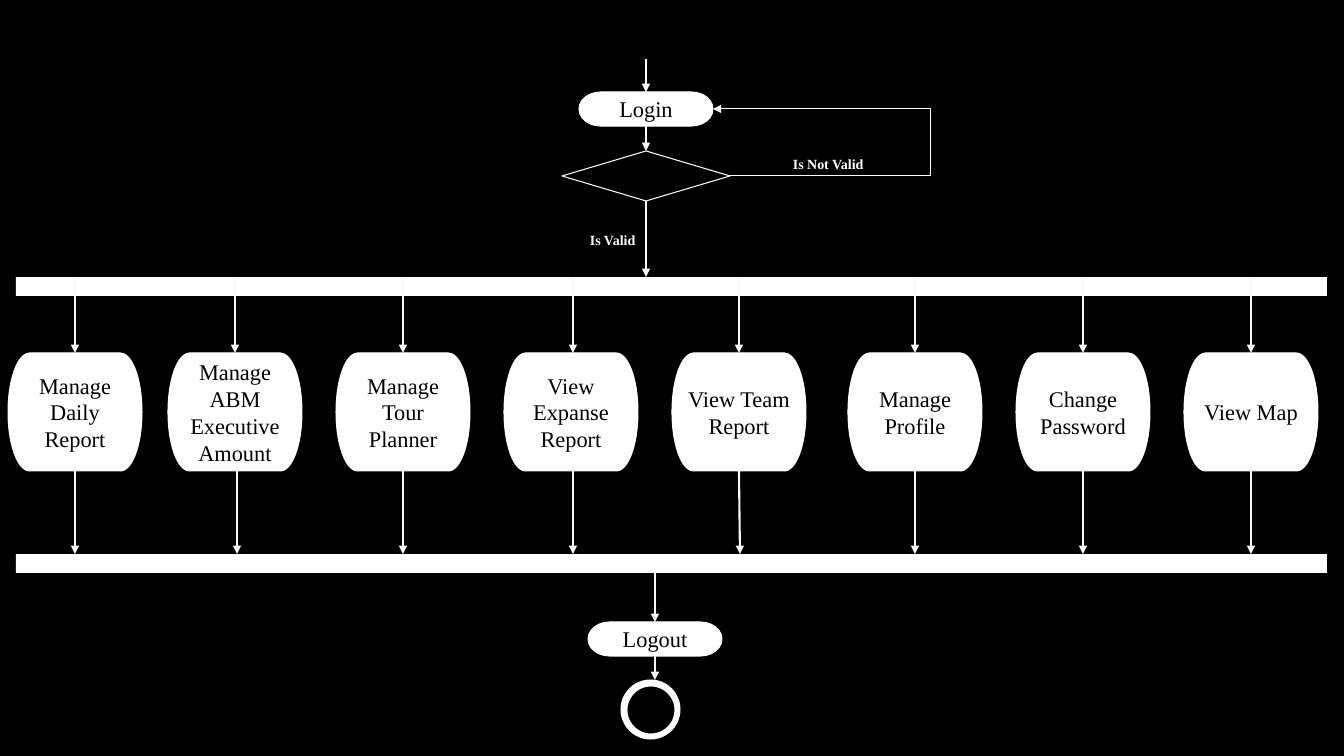
"""Builds an activity diagram slide running from login to logout."""
from dataclasses import dataclass

from lxml.etree import SubElement
from pptx import Presentation
from pptx.dml.color import RGBColor as RGB
from pptx.enum.shapes import MSO_CONNECTOR as LINK, MSO_SHAPE as SHAPE
from pptx.enum.text import MSO_ANCHOR, MSO_AUTO_SIZE, PP_ALIGN
from pptx.oxml.ns import qn
from pptx.util import Pt


@dataclass(frozen=True)
class Theme:
    font: str = "Times New Roman"
    dark: RGB = RGB(0x00, 0x00, 0x00)
    light: RGB = RGB(0xFF, 0xFF, 0xFF)
    flow: RGB = RGB(0xF8, 0xF8, 0xF8)
    node_size: int = 16
    label_size: int = 10
    thin: float = 0.75
    thick: float = 1.5


def px(n):
    return round(n * 914400 / 100.8)


class Diagram:
    """Draws diagram elements on one slide in one style, with lengths in px."""

    def __init__(self, slide, theme):
        self.slide, self.theme = slide, theme
        self.sides = {}
        fill = slide.background.fill
        fill.solid()
        fill.fore_color.rgb = theme.dark

    def shape(self, kind, x, y, w, h, fill=None, line=None):
        sp = self.slide.shapes.add_shape(kind, px(x), px(y), px(w), px(h))
        sp.shadow.inherit = False
        if fill is None:
            sp.fill.background()
        else:
            sp.fill.solid()
            sp.fill.fore_color.rgb = fill
        if line is None:
            sp.line.fill.background()
        else:
            sp.line.color.rgb = line
            sp.line.width = Pt(self.theme.thin)
        middles = [(x + w / 2, y), (x, y + h / 2), (x + w / 2, y + h), (x + w, y + h / 2)]
        for site, middle in enumerate(middles):
            self.sides[middle] = sp, site
        return sp

    def set_text(self, tf, text, size, color, bold=False, align=None):
        tf.word_wrap = True
        tf.text = text
        for p in tf.paragraphs:
            p.alignment = align
            p.font.name, p.font.size, p.font.bold = self.theme.font, Pt(size), bold
            p.font.color.rgb = color

    def node(self, text, x, y, w, h):
        t = self.theme
        sp = self.shape(SHAPE.FLOWCHART_TERMINATOR, x, y, w, h, t.light, t.light)
        sp.text_frame.vertical_anchor = MSO_ANCHOR.MIDDLE
        self.set_text(sp.text_frame, text, t.node_size, t.dark, align=PP_ALIGN.CENTER)

    def label(self, text, x, y, w, h):
        tf = self.slide.shapes.add_textbox(px(x), px(y), px(w), px(h)).text_frame
        self.set_text(tf, text, self.theme.label_size, self.theme.light, bold=True)
        tf.auto_size = MSO_AUTO_SIZE.SHAPE_TO_FIT_TEXT

    def bar(self, y):
        self.shape(SHAPE.RECTANGLE, 16, y, 1311, 19, self.theme.light)

    def arrow(self, start, end, thin=False, bend_x=None):
        t = self.theme
        kind = LINK.STRAIGHT if bend_x is None else LINK.ELBOW
        cxn = self.slide.shapes.add_connector(kind, *map(px, start + end))
        if start in self.sides:
            cxn.begin_connect(*self.sides[start])
        if end in self.sides:
            cxn.end_connect(*self.sides[end])
        cxn.line.color.rgb = t.light if thin else t.flow
        cxn.line.width = Pt(t.thin if thin else t.thick)
        props = cxn._element.spPr
        SubElement(props.find(qn("a:ln")), qn("a:tailEnd"), type="triangle")
        SubElement(props, qn("a:effectLst"))
        if bend_x is not None:
            bend = round(100000 * (bend_x - start[0]) / (end[0] - start[0]))
            guides = props.find(qn("a:prstGeom")).find(qn("a:avLst"))
            SubElement(guides, qn("a:gd"), name="adj1", fmla=f"val {bend}")


NODE_W, NODE_H = 134, 34
TASK_Y, TASK_H = 353, 118
FORK_Y, JOIN_Y = 277, 554
LOGIN_X, LOGOUT_X = 646, 655

# Each task: text, centre, x of the arrow in, x where the arrow out starts and ends
TASKS = [
    ("Manage Daily Report", 75, 75, 75, 75),
    ("Manage\nABM Executive Amount", 235, 235, 237, 237),
    ("Manage Tour Planner", 403, 403, 403, 403),
    ("View Expanse Report", 571, 573, 573, 573),
    ("View Team Report", 739, 739, 739, 740),
    ("Manage Profile", 915, 915, 915, 915),
    ("Change Password", 1083, 1083, 1083, 1083),
    ("View Map", 1251, 1251, 1251, 1251),
]


def draw_login(d):
    t = d.theme
    d.shape(SHAPE.OVAL, 624, 8, 51, 51, t.dark, t.dark)
    d.node("Login", LOGIN_X - NODE_W // 2, 92, NODE_W, NODE_H)
    d.shape(SHAPE.FLOWCHART_DECISION, LOGIN_X - 84, 151, 168, 50, line=t.light)
    d.arrow((LOGIN_X, 59), (LOGIN_X, 92), thin=True)
    d.arrow((LOGIN_X, 126), (LOGIN_X, 151), thin=True)
    d.arrow((LOGIN_X + 84, 176), (LOGIN_X + NODE_W // 2, 109), thin=True, bend_x=931)
    d.label("Is Valid", 580, 227, 79, 27)
    d.label("Is Not Valid", 783, 151, 107, 27)


def draw_tasks(d):
    d.bar(FORK_Y)
    d.arrow((LOGIN_X, 201), (LOGIN_X, FORK_Y))
    for text, centre, x_in, x_out, x_end in TASKS:
        d.node(text, centre - NODE_W // 2, TASK_Y, NODE_W, TASK_H)
        d.arrow((x_in, FORK_Y), (x_in, TASK_Y))
        d.arrow((x_out, TASK_Y + TASK_H), (x_end, JOIN_Y))
    d.bar(JOIN_Y)


def draw_logout(d):
    t = d.theme
    d.node("Logout", LOGOUT_X - NODE_W // 2, 622, NODE_W, NODE_H)
    d.arrow((LOGOUT_X, 572), (LOGOUT_X, 622))
    d.arrow((LOGOUT_X, 656), (LOGOUT_X, 680))
    d.shape(SHAPE.OVAL, 621, 680, 59, 59, t.light, t.light)
    d.shape(SHAPE.OVAL, 627, 686, 48, 48, t.dark, t.light)


def main():
    prs = Presentation()
    prs.slide_width, prs.slide_height = px(1344), px(756)
    d = Diagram(prs.slides.add_slide(prs.slide_layouts[6]), Theme())
    draw_login(d)
    draw_tasks(d)
    draw_logout(d)
    prs.save("out.pptx")


if __name__ == "__main__":
    main()
